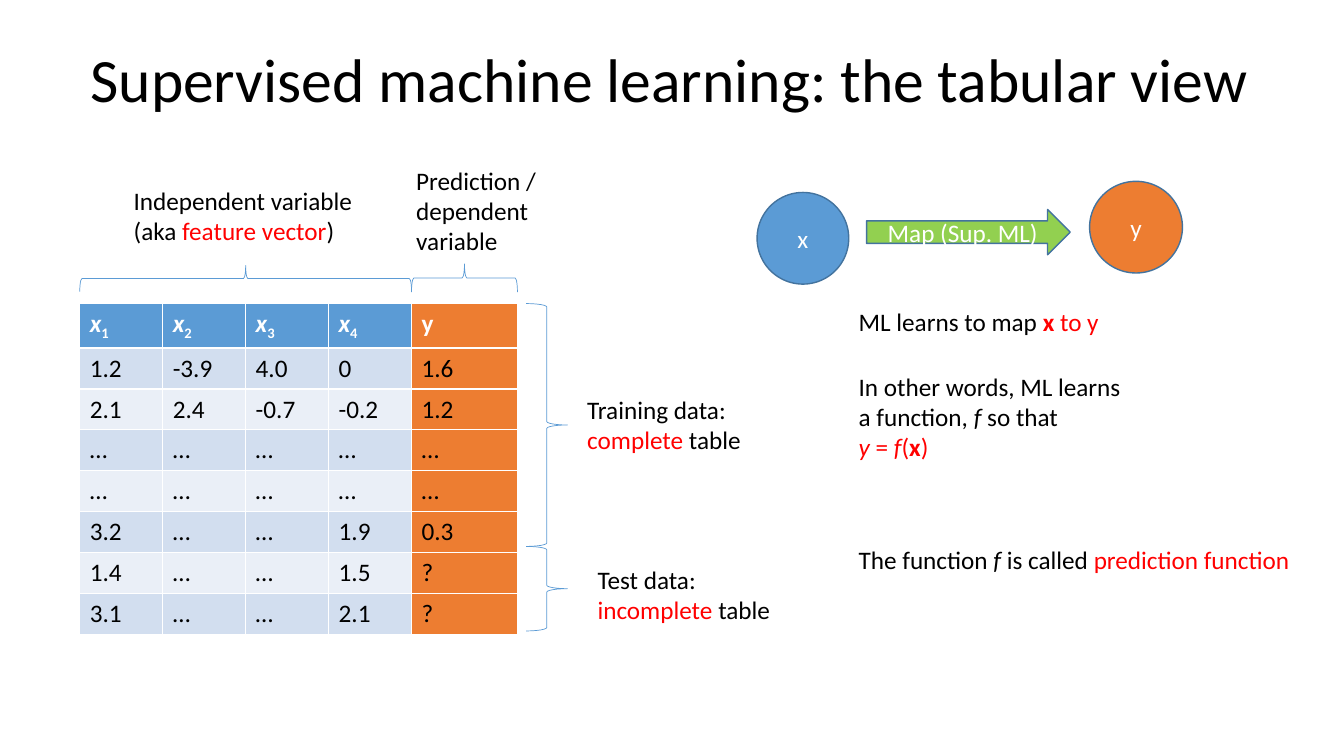
from pptx import Presentation
from pptx.dml.color import RGBColor
from pptx.enum.shapes import MSO_SHAPE
from pptx.enum.text import MSO_ANCHOR, MSO_AUTO_SIZE, PP_ALIGN
from pptx.util import Cm, Pt

LEFT_BRACE, RIGHT_BRACE = MSO_SHAPE.LEFT_BRACE, MSO_SHAPE.RIGHT_BRACE
OVAL, ARROW = MSO_SHAPE.OVAL, MSO_SHAPE.RIGHT_ARROW
MIDDLE, CENTER, LEFT = MSO_ANCHOR.MIDDLE, PP_ALIGN.CENTER, PP_ALIGN.LEFT
GROW = MSO_AUTO_SIZE.SHAPE_TO_FIT_TEXT

BLACK = RGBColor(0x00, 0x00, 0x00)
WHITE = RGBColor(0xFF, 0xFF, 0xFF)
RED = RGBColor(0xFF, 0x00, 0x00)
BLUE = RGBColor(0x5B, 0x9B, 0xD5)
ORANGE = RGBColor(0xED, 0x7D, 0x31)
GREEN = RGBColor(0x92, 0xD0, 0x50)
OUTLINE = RGBColor(0x43, 0x73, 0x9E)
BAND_DARK = RGBColor(0xD2, 0xDE, 0xEF)
BAND_LIGHT = RGBColor(0xEA, 0xEF, 0xF7)

FONT = "Calibri"
HIGHLIGHT = {"color": RED}
ITALIC = {"italic": True}

COLUMN_WIDTHS = [2.09] * 4 + [2.67]
ROW_HEIGHT = 1.03
DATA_ROWS = [
    ["1.2", "-3.9", "4.0", "0", "1.6"],
    ["2.1", "2.4", "-0.7", "-0.2", "1.2"],
    ["…"] * 5,
    ["…"] * 5,
    ["3.2", "…", "…", "1.9", "0.3"],
    ["1.4", "…", "…", "1.5", "?"],
    ["3.1", "…", "…", "2.1", "?"],
]


def add_span(para, text, size=18, color=BLACK, baseline=None, **formats):
    span = para.add_run()
    span.text = text
    values = {"name": FONT, "size": Pt(size), "bold": False, "italic": False, **formats}
    for name, value in values.items():
        setattr(span.font, name, value)
    span.font.color.rgb = color
    if baseline:
        span._r.get_or_add_rPr().set("baseline", str(baseline))


def write(frame, paragraphs, align=LEFT, **formats):
    """Fill a text frame; each paragraph is a list of (text, formats)."""
    for index, spans in enumerate(paragraphs):
        para = frame.paragraphs[0] if index == 0 else frame.add_paragraph()
        para.alignment = align
        for text, own_formats in spans:
            add_span(para, text, **{**formats, **own_formats})


def add_label(slide, left, top, width, height, paragraphs, wrap=True):
    box = slide.shapes.add_textbox(Cm(left), Cm(top), Cm(width), Cm(height))
    box.text_frame.word_wrap = wrap
    box.text_frame.auto_size = GROW
    write(box.text_frame, paragraphs)


def add_brace(slide, left, top, width, height, opens_down=False):
    """Place a brace in the given visible box."""
    kind = RIGHT_BRACE
    if opens_down:
        # A quarter turn swaps the sides around the same centre
        kind = LEFT_BRACE
        left, top = left + (width - height) / 2, top + (height - width) / 2
        width, height = height, width
    brace = slide.shapes.add_shape(kind, Cm(left), Cm(top), Cm(width), Cm(height))
    brace.rotation = 90 if opens_down else 0
    brace.shadow.inherit = False
    brace.fill.background()
    brace.line.color.rgb = BLUE
    brace.line.width = Pt(0.5)


def add_node(slide, kind, left, top, width, height, fill, text):
    node = slide.shapes.add_shape(kind, Cm(left), Cm(top), Cm(width), Cm(height))
    node.shadow.inherit = False
    node.fill.solid()
    node.fill.fore_color.rgb = fill
    node.line.color.rgb = OUTLINE
    node.line.width = Pt(1)
    node.text_frame.vertical_anchor = MIDDLE
    write(node.text_frame, [[(text, {})]], align=CENTER, color=WHITE)


def add_title(slide, left, top, width, height):
    box = slide.shapes.add_textbox(Cm(left), Cm(top), Cm(width), Cm(height))
    box.text_frame.word_wrap = True
    box.text_frame.vertical_anchor = MIDDLE
    write(box.text_frame, [[("Supervised machine learning: the tabular view", {})]], size=44)
    box.text_frame.paragraphs[0].line_spacing = 0.9


def add_data_table(slide, left, top):
    rows, columns = len(DATA_ROWS) + 1, len(COLUMN_WIDTHS)
    table = slide.shapes.add_table(
        rows, columns, Cm(left), Cm(top), Cm(sum(COLUMN_WIDTHS)), Cm(rows * ROW_HEIGHT)
    ).table
    for column, width in zip(table.columns, COLUMN_WIDTHS):
        column.width = Cm(width)
    for row in table.rows:
        row.height = Cm(ROW_HEIGHT)

    # Header spans: x with an index for each feature, then y
    subscript = {"baseline": -25000}
    header = [[("x", ITALIC), (str(n), subscript)] for n in range(1, columns)]
    header.append([("y", {})])
    body = [[[(value, {})] for value in values] for values in DATA_ROWS]

    for row, cells in enumerate([header] + body):
        band = BLUE if row == 0 else BAND_DARK if row % 2 else BAND_LIGHT
        for column, spans in enumerate(cells):
            cell = table.cell(row, column)
            cell.fill.solid()
            cell.fill.fore_color.rgb = ORANGE if column == columns - 1 else band
            color = WHITE if row == 0 else BLACK
            write(cell.text_frame, [spans], color=color, bold=row == 0)


def add_table_notes(slide, left, top):
    """Braces and labels around the table whose corner is given."""
    features_width = sum(COLUMN_WIDTHS[:-1])
    target_left = left + features_width

    # Above the columns
    add_brace(slide, left, top - 0.96, features_width, 0.66, opens_down=True)
    add_label(slide, left + 1.11, top - 3.1, 6.12, 1.8, [[
        ("Independent variable (aka ", {}), ("feature vector", HIGHLIGHT), (")", {})]])
    add_brace(slide, target_left, top - 1, COLUMN_WIDTHS[-1], 0.71, opens_down=True)
    add_label(slide, target_left - 0.13, top - 3.61, 4.42, 2.57,
              [[("Prediction / dependent variable", {})]])

    # Beside the rows
    brace_left = left + 11.25
    add_brace(slide, brace_left, top, 1.04, 6.12)
    add_label(slide, brace_left + 1.29, top + 2.15, 5, 1.8, [[
        ("Training data: ", {}), ("complete ", HIGHLIGHT), ("table", {})]])
    add_brace(slide, brace_left, top + 6.12, 1.04, 2.13)
    add_label(slide, brace_left + 1.55, top + 6.45, 5.03, 1.8, [[
        ("Test data: ", {}), ("incomplete ", HIGHLIGHT), ("table", {})]])


def add_mapping(slide, left, top):
    add_node(slide, OVAL, left, top + 0.28, 2.31, 2.31, BLUE, "x")
    add_node(slide, OVAL, left + 8.38, top, 2.34, 2.31, ORANGE, "y")
    add_node(slide, ARROW, left + 2.76, top + 0.71, 5.13, 1.14, GREEN, "Map (Sup. ML)")


def add_explanation(slide, left, top):
    red_bold, red_italic = {**HIGHLIGHT, "bold": True}, {**HIGHLIGHT, **ITALIC}
    add_label(slide, left, top, 6.6, 1.02, [
        [("ML learns to map ", {}), ("x", red_bold), (" to y", HIGHLIGHT)],
    ], wrap=False)
    add_label(slide, left, top + 1.63, 7.19, 2.57, [
        [("In other words, ML learns", {})],
        [("a function, ", {}), ("f", ITALIC), (" so that", {})],
        [("y", red_italic), (" = ", HIGHLIGHT), ("f", red_italic),
         ("(", HIGHLIGHT), ("x", red_bold), (")", HIGHLIGHT)],
    ], wrap=False)
    add_label(slide, left, top + 6, 11.96, 1.02, [
        [("The function ", {}), ("f", ITALIC), (" is called ", {}),
         ("prediction function", HIGHLIGHT)],
    ], wrap=False)


def main():
    deck = Presentation()
    deck.slide_width, deck.slide_height = Cm(33.87), Cm(19.05)
    page = deck.slides.add_slide(deck.slide_layouts[6])
    add_title(page, 2.03, 0.23, 30.43, 3.68)
    add_data_table(page, 2.01, 7.65)
    add_table_notes(page, 2.01, 7.65)
    add_mapping(page, 19.08, 4.57)
    add_explanation(page, 21.39, 7.59)
    deck.save("out.pptx")


if __name__ == "__main__":
    main()
